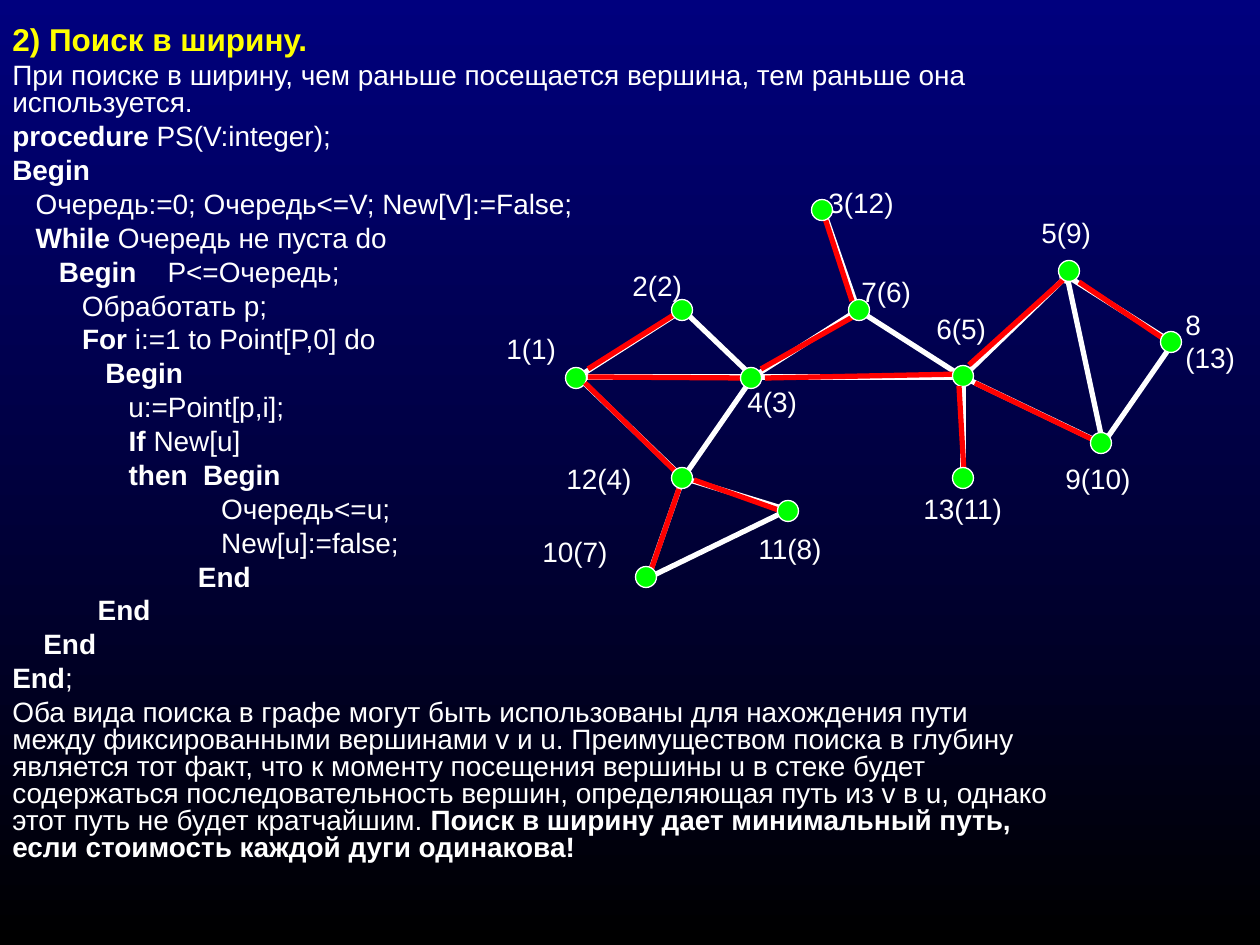
import pptx
import pptx.util
import pptx.dml.color
import pptx.enum.shapes
import pptx.oxml.ns
from dataclasses import dataclass
from lxml import etree

WIDE, HIGH = 1260, 945
SCALE = 914400 / 126  # EMU in one px


@dataclass(frozen=True)
class Theme:
    font: str = "Arial"
    top: str = "00007E"
    base: str = "000000"
    text: str = "FFFFFF"
    title: str = "FFFF00"
    edge: str = "FFFFFF"
    tree: str = "FF0000"
    dot: str = "00FF00"
    head: float = 18
    body: float = 16
    line: float = 3
    rim: float = 0.75


def px(num):
    return pptx.util.Emu(round(num * SCALE))


def rgb(code):
    return pptx.dml.color.RGBColor.from_string(code)


def write(para, text, size, color, font, bold=False, space=0, lead=None):
    """Fill a paragraph; *stars* switch bold, a newline breaks the line."""
    para.space_before = pptx.util.Pt(space)
    if lead:
        para.line_spacing = lead
    for row, line in enumerate(text.split("\n")):
        if row:
            para.add_line_break()
        for part, piece in enumerate(line.split("*")):
            if piece:
                run = para.add_run()
                run.text = piece
                run.font.name = font
                run.font.size = pptx.util.Pt(size)
                run.font.bold = bold or part % 2 == 1
                run.font.color.rgb = rgb(color)


class Deck:
    def __init__(self, theme):
        self.theme = theme
        self.file = pptx.Presentation()
        self.file.slide_width, self.file.slide_height = px(WIDE), px(HIGH)
        self.slide = self.file.slides.add_slide(self.file.slide_layouts[6])

    def shade(self):
        fill = self.slide.background.fill
        fill.gradient()
        fill.gradient_angle = 270
        for stop, code in zip(fill.gradient_stops, (self.theme.top, self.theme.base)):
            stop.color.rgb = rgb(code)

    def frame(self, x, y, wide, high):
        box = self.slide.shapes.add_textbox(px(x), px(y), px(wide), px(high))
        box.text_frame.word_wrap = True
        return box.text_frame

    def label(self, text, x, y, wide):
        para = self.frame(x, y, wide, 53).paragraphs[0]
        write(para, text, self.theme.body, self.theme.text, self.theme.font)

    def prose(self, title, lines, x, y, wide, high):
        look = self.theme
        frame = self.frame(x, y, wide, high)
        write(frame.paragraphs[0], title, look.head, look.title, look.font,
              bold=True, lead=0.8)
        for line in lines:
            write(frame.add_paragraph(), line, look.body, look.text, look.font,
                  space=4, lead=0.8)

    def link(self, start, end, color, ovals=""):
        kind = pptx.enum.shapes.MSO_CONNECTOR.STRAIGHT
        line = self.slide.shapes.add_connector(
            kind, px(start[0]), px(start[1]), px(end[0]), px(end[1]))
        line.line.color.rgb = rgb(color)
        line.line.width = pptx.util.Pt(self.theme.line)
        pen = line.line._get_or_add_ln()
        for flag, tag in (("h", "a:headEnd"), ("t", "a:tailEnd")):
            if flag in ovals:
                etree.SubElement(pen, pptx.oxml.ns.qn(tag), type="oval")
        etree.SubElement(line._element.spPr, pptx.oxml.ns.qn("a:effectLst"))

    def dot(self, x, y, size=21):
        kind = pptx.enum.shapes.MSO_SHAPE.OVAL
        disc = self.slide.shapes.add_shape(
            kind, px(x - size / 2), px(y - size / 2), px(size), px(size))
        disc.shadow.inherit = False
        disc.fill.solid()
        disc.fill.fore_color.rgb = rgb(self.theme.dot)
        disc.line.color.rgb = rgb(self.theme.edge)
        disc.line.width = pptx.util.Pt(self.theme.rim)


TITLE = "2) Поиск в ширину."
LINES = [
    "При поиске в ширину, чем раньше посещается вершина, тем раньше она используется.",
    "*procedure* PS(V:integer);",
    "*Begin*",
    "   Очередь:=0; Очередь<=V; New[V]:=False;",
    "*   While* Очередь не пуста do",
    "      *Begin    *P<=Очередь;",
    "         Обработать р;",
    "         *For* i:=1 to Point[P,0] do",
    "            *Begin*",
    "               u:=Point[p,i];",
    "               *If* New[u]",
    "               *then  Begin*",
    "                           Очередь<=u;",
    "                           New[u]:=false;",
    "*                        End*",
    "           *End*",
    "    *End*",
    "*End*;",
    "Оба вида поиска в графе могут быть использованы для нахождения пути между "
    "фиксированными вершинами v и u. Преимуществом поиска в глубину является тот "
    "факт, что к моменту посещения вершины u в стеке будет содержаться "
    "последовательность вершин, определяющая путь из v в u, однако этот путь не "
    "будет кратчайшим. *Поиск в ширину дает минимальный путь, если стоимость "
    "каждой дуги одинакова!*",
]

# Where the edges of each node meet
JOINTS = {
    1: (578, 377), 2: (683, 310), 3: (823, 209), 4: (753, 377), 5: (1067, 276),
    6: (963, 377), 7: (858, 310), 8: (1173, 343), 9: (1103, 444),
    10: (648, 578), 11: (788, 510), 12: (683, 478), 13: (963, 478),
}
# Node pairs, with oval ends at head (h) or tail (t)
EDGES = [
    (1, 2, "ht"), (4, 7, "ht"), (2, 4, ""), (1, 4, ""), (3, 7, "h"), (7, 6, "t"),
    (4, 6, ""), (10, 12, "ht"), (1, 12, ""), (4, 12, ""), (12, 11, "t"),
    (10, 11, ""), (6, 13, "t"), (6, 5, "t"), (5, 8, "t"), (6, 9, "t"),
    (8, 9, ""), (5, 9, ""),
]
# Text, left, top, width
LABELS = [
    ("8\n(13)", 1173, 301, 87), ("5(9)", 1029, 209, 118), ("9(10)", 1053, 455, 118),
    ("13(11)", 911, 485, 142), ("4(3)", 735, 378, 118), ("12(4)", 554, 455, 142),
    ("11(8)", 746, 525, 129), ("10(7)", 530, 528, 134), ("1(1)", 494, 325, 118),
    ("2(2)", 620, 262, 118), ("3(12)", 816, 179, 118), ("7(6)", 849, 268, 118),
    ("6(5)", 924, 305, 118),
]
# Search tree in order of visit: red start, red end, centre of the new dot
ROOT = (576, 378)
STEPS = [
    ((588, 369), (680, 311), (682, 310)),
    ((588, 377), (748, 378), (751, 378)),
    ((585, 383), (680, 476), (682, 478)),
    ((765, 378), (963, 374), (963, 376)),
    ((761, 369), (858, 314), (859, 310)),
    ((679, 489), (649, 576), (646, 577)),
    ((694, 480), (784, 512), (788, 511)),
    ((969, 365), (1063, 280), (1069, 271)),
    ((975, 383), (1104, 445), (1101, 443)),
    ((959, 386), (964, 473), (963, 478)),
    ((824, 215), (852, 301), (822, 210)),
    ((1079, 282), (1167, 341), (1171, 342)),
]


def main():
    theme = Theme()
    deck = Deck(theme)
    deck.shade()
    # Text and code
    deck.prose(TITLE, LINES, 0, 21, 1061, 872)
    # Graph
    for start, end, ovals in EDGES:
        deck.link(JOINTS[start], JOINTS[end], theme.edge, ovals)
    for text, x, y, wide in LABELS:
        deck.label(text, x, y, wide)
    # Search tree
    for count, (start, end, spot) in enumerate(STEPS):
        deck.link(start, end, theme.tree)
        deck.dot(*spot)
        if count == 0:
            deck.dot(*ROOT)
    deck.file.save("out.pptx")


if __name__ == "__main__":
    main()
